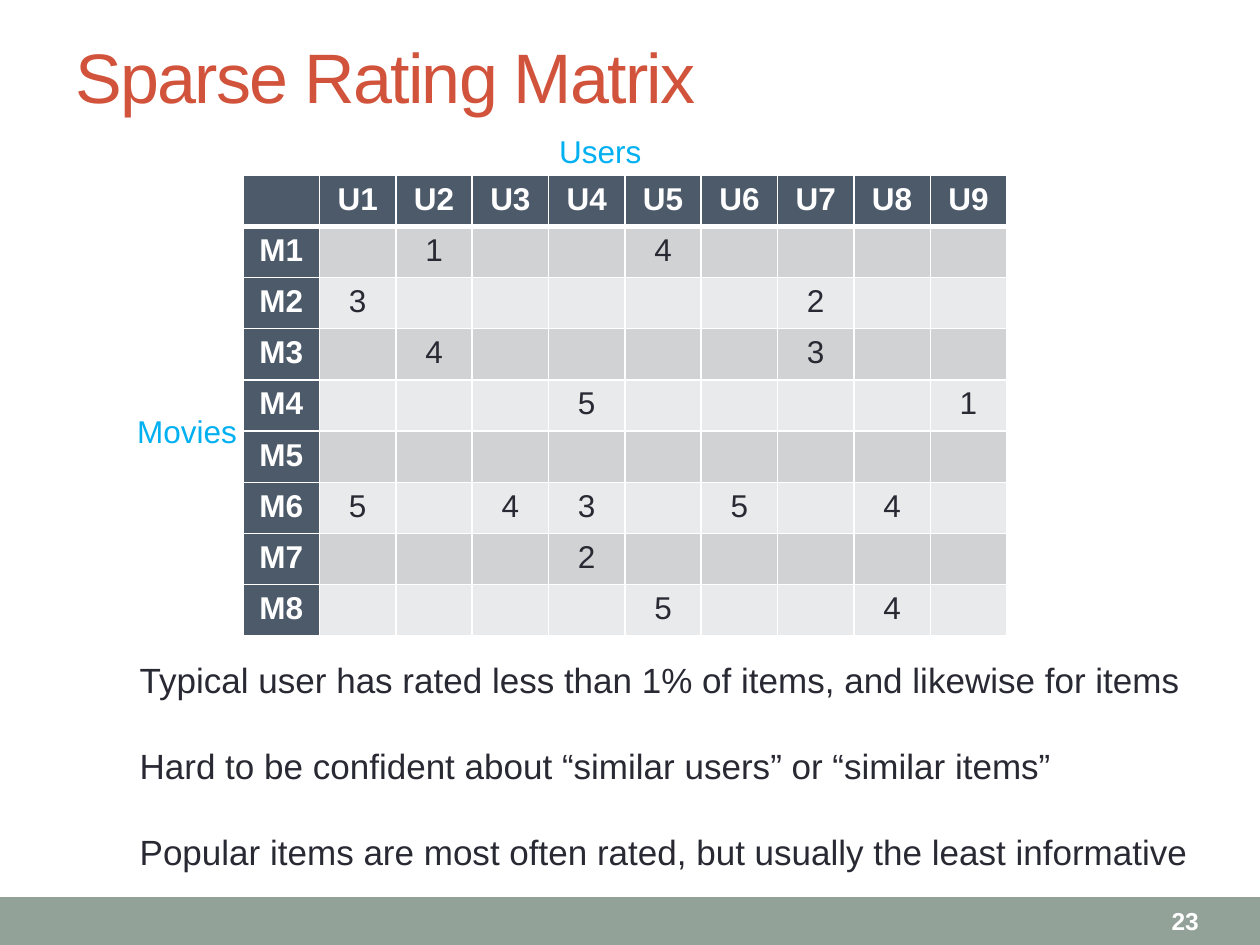
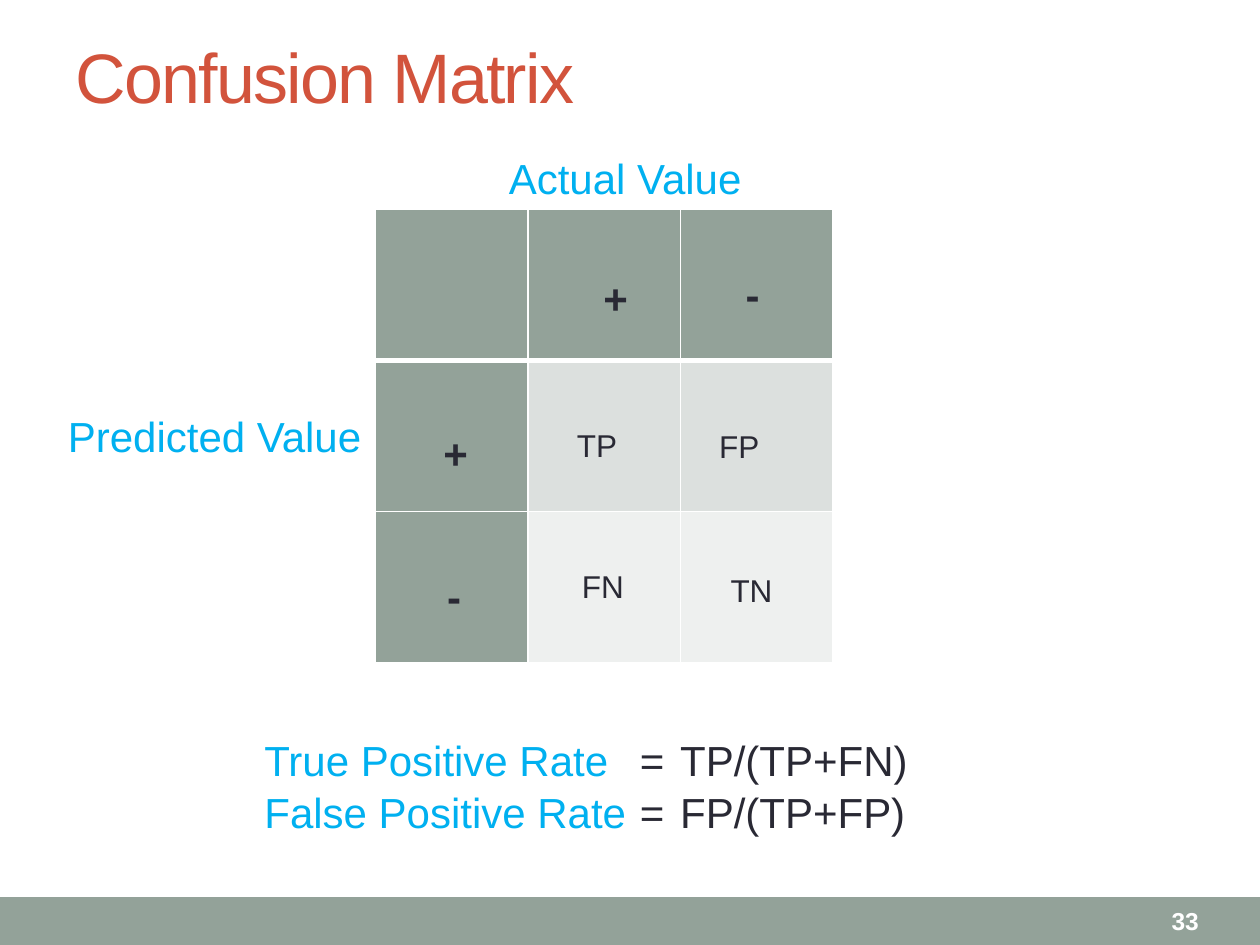
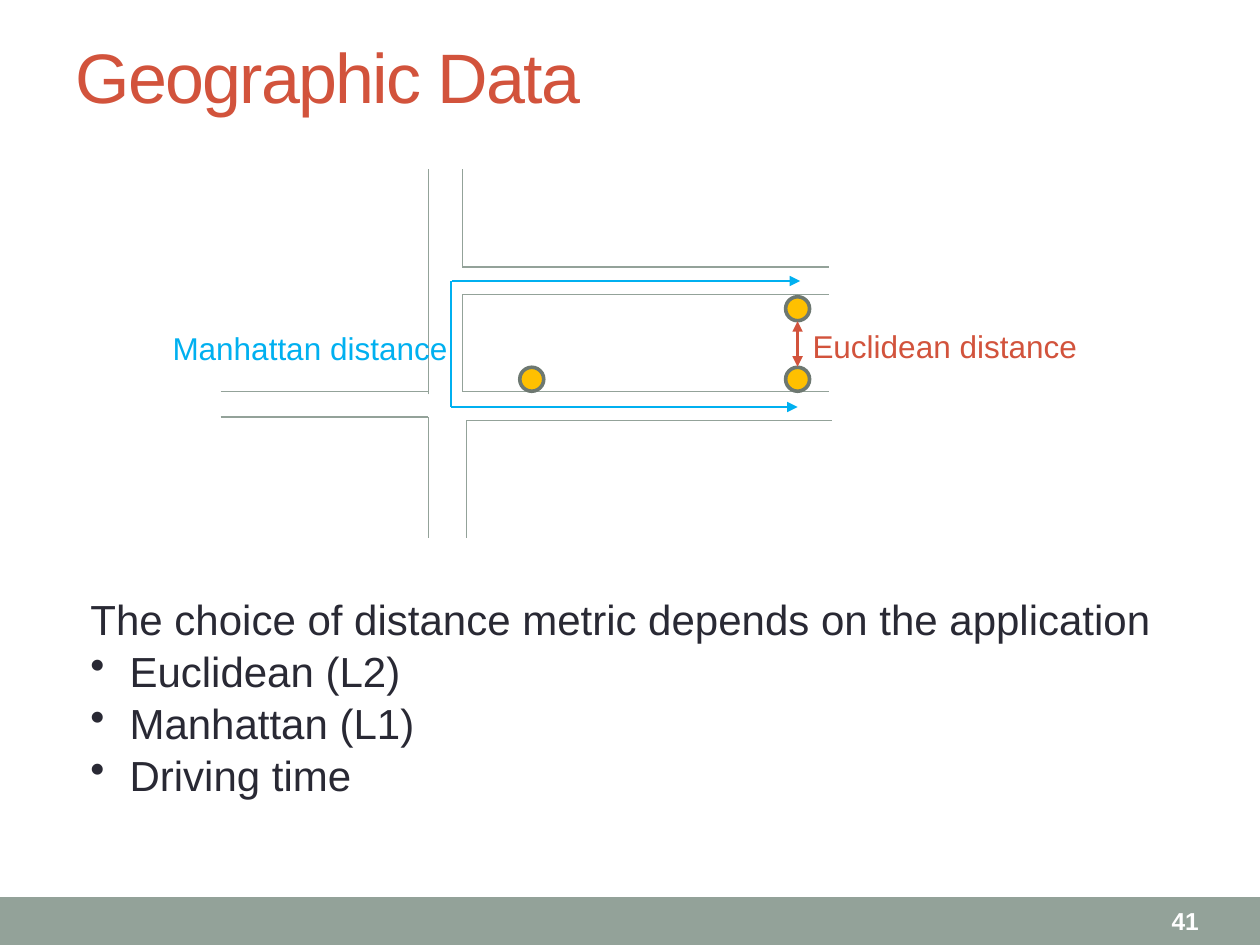
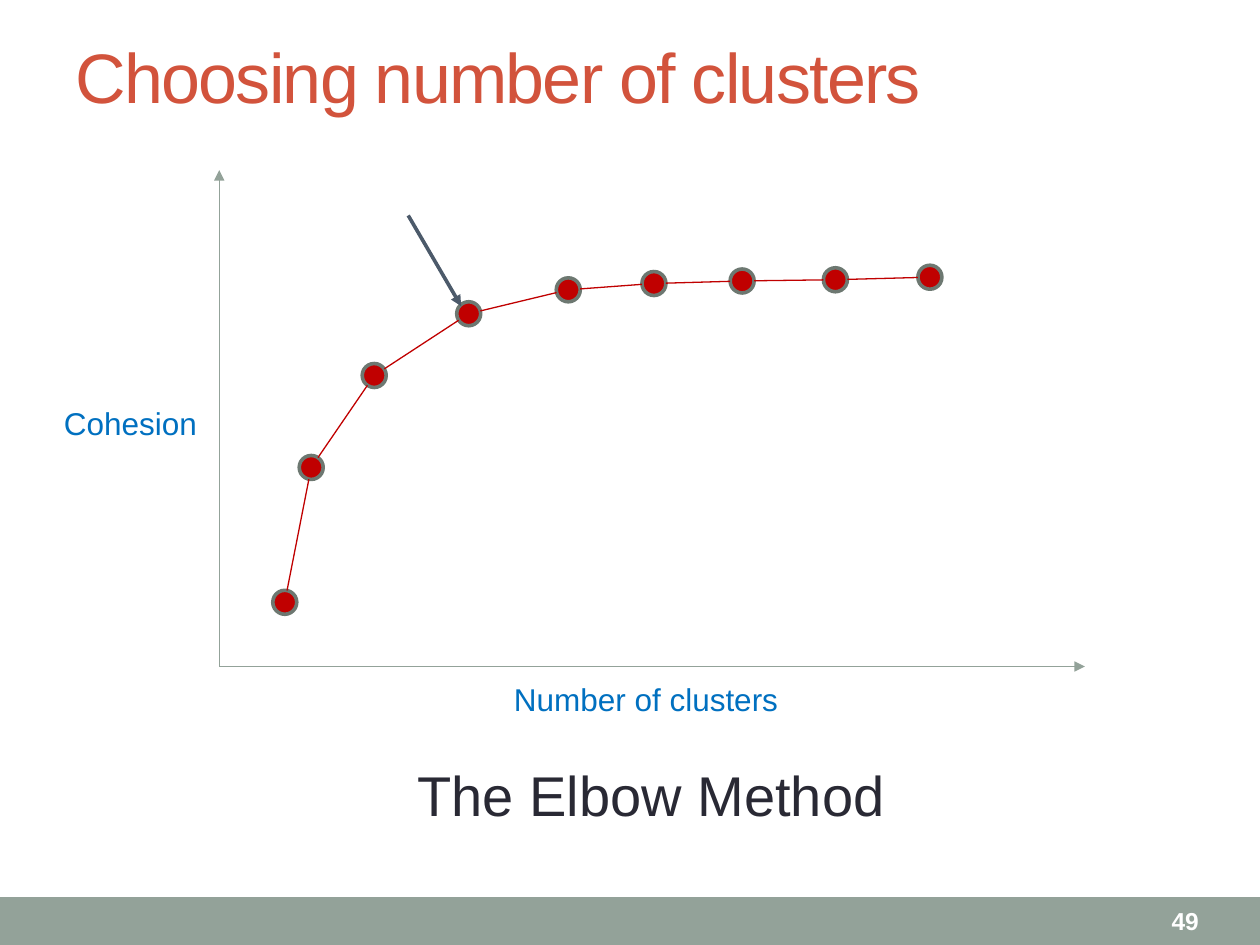
from itertools import pairwise
from math import hypot

from pptx import Presentation
from pptx.dml.color import RGBColor as RGB
from pptx.enum.shapes import MSO_CONNECTOR as LINK, MSO_SHAPE as SHAPE
from pptx.enum.text import MSO_ANCHOR as ANCHOR, MSO_AUTO_SIZE as AUTO, PP_ALIGN as ALIGN
from pptx.oxml import parse_xml
from pptx.oxml.ns import nsdecls
from pptx.util import Inches, Pt

HUES = {
    "title": "D2533C", "sage": "93A299", "rim": "6D7871", "slate": "4C5A6A",
    "ink": "292934", "white": "FFFFFF", "sky": "00B0F0", "blue": "0070C0",
    "gold": "FFC000", "red": "C00000",
    "dark": "D0D2D4", "pale": "E9EAEB", "mist": "DCE0DE", "fog": "EEF0EF",
}
FONT = "Arial"
DOT = 0.19
RATES = {
    "M1": {2: 1, 5: 4}, "M2": {1: 3, 7: 2}, "M3": {2: 4, 7: 3}, "M4": {4: 5, 9: 1},
    "M5": {}, "M6": {1: 5, 3: 4, 4: 3, 6: 5, 8: 4}, "M7": {4: 2}, "M8": {5: 5, 8: 4},
}


def hue(name):
    """Return the named colour."""
    return RGB.from_string(HUES[name])


def node(tag, attrs="", inner=""):
    """Return a new DrawingML element."""
    return parse_xml(f'<a:{tag} {nsdecls("a")} {attrs}>{inner}</a:{tag}>')


def write(frame, lines, size=18, color="ink", bold=False, align=ALIGN.LEFT,
          gap=0, bullets=(), tabs=(), track=None):
    """Fill a text frame; a line is a string or a list of (text, colour)."""
    for i, line in enumerate([lines] if isinstance(lines, str) else lines):
        para = frame.paragraphs[0] if i == 0 else frame.add_paragraph()
        props = para._p.get_or_add_pPr()
        if i in bullets:
            props.set("marL", str(Inches(0.31)))
            props.set("indent", str(-Inches(0.31)))
            props.append(node("buChar", 'char="•"'))
        if tabs:
            stops = "".join(f'<a:tab pos="{Inches(t)}" algn="l"/>' for t in tabs)
            props.append(node("tabLst", inner=stops))
        para.alignment = align
        para.space_before = Pt(gap if i else 0)
        for part, tone in [(line, color)] if isinstance(line, str) else line:
            run = para.add_run()
            run.text = part
            run.font.name, run.font.size, run.font.bold = FONT, Pt(size), bold
            run.font.color.rgb = hue(tone)
            if track is not None:
                run._r.get_or_add_rPr().set("spc", str(track))


def label(slide, x, y, w, h, lines, wrap=False, anchor=ANCHOR.TOP, **form):
    """Add a text box."""
    frame = slide.shapes.add_textbox(Inches(x), Inches(y), Inches(w), Inches(h)).text_frame
    frame.word_wrap = wrap
    frame.auto_size = AUTO.NONE if wrap else AUTO.SHAPE_TO_FIT_TEXT
    frame.vertical_anchor = anchor
    write(frame, lines, **form)


def shape(slide, kind, x, y, w, h, fill, rim=None):
    """Add a filled preset shape."""
    item = slide.shapes.add_shape(kind, Inches(x), Inches(y), Inches(w), Inches(h))
    item.shadow.inherit = False
    item.fill.solid()
    item.fill.fore_color.rgb = hue(fill)
    if rim:
        item.line.color.rgb = hue(rim)
        item.line.width = Pt(2.08)
    else:
        item.line.fill.background()


def dot(slide, x, y, fill):
    """Add a rimmed dot centred on a point."""
    shape(slide, SHAPE.OVAL, x - DOT / 2, y - DOT / 2, DOT, DOT, fill, "rim")


def stroke(slide, x1, y1, x2, y2, color="sage", width=0.75, ends=()):
    """Add a line with arrowheads at the given ends."""
    item = slide.shapes.add_connector(LINK.STRAIGHT, *map(Inches, (x1, y1, x2, y2)))
    item.line.color.rgb = hue(color)
    item.line.width = Pt(width)
    for end in ends:
        item.line._get_or_add_ln().append(node(end, 'type="triangle"'))
    item._element.spPr.append(node("effectLst"))


def edge(cell, row):
    """Draw white borders, with a thick rule below the header row."""
    thick = {"lnB": row == 0, "lnT": row == 1}
    tone = f'<a:solidFill><a:srgbClr val="{HUES["white"]}"/></a:solidFill>'
    for side in ("lnL", "lnR", "lnT", "lnB"):
        width = Pt(3 if thick.get(side) else 1)
        cell._tc.get_or_add_tcPr().append(node(side, f'w="{width}"', tone))


def grid(slide, x, y, w, h, rows, head, bands):
    """Add a table with header row and column and banded body."""
    count, span = len(rows), len(rows[0])
    table = slide.shapes.add_table(count, span, Inches(x), Inches(y), Inches(w), Inches(h)).table
    for r, row in enumerate(rows):
        for c, value in enumerate(row):
            cell, top = table.cell(r, c), r == 0 or c == 0
            edge(cell, r)
            cell.fill.solid()
            cell.fill.fore_color.rgb = hue(head if top else bands[(r - 1) % 2])
            if value:
                write(cell.text_frame, value, align=ALIGN.CENTER, bold=top,
                      color="white" if top else "ink")


def base(deck, title, page):
    """Add a slide with its title, band and page number."""
    slide = deck.slides.add_slide(deck.slide_layouts[5])
    shape(slide, SHAPE.RECTANGLE, 0, 7.12, 10, 0.38, "sage")
    head = slide.shapes.title
    head.left, head.top, head.width, head.height = map(Inches, (0.5, 0.06, 9, 1.08))
    head.text_frame.vertical_anchor = ANCHOR.MIDDLE
    write(head.text_frame, title, size=40, color="title", track=-100)
    label(slide, 9.2, 7.13, 0.77, 0.36, str(page), wrap=True, anchor=ANCHOR.MIDDLE,
          size=14, color="white", bold=True)
    return slide


def ratings(slide, x, y):
    """Draw the rating table with its axis names."""
    rows = [[""] + [f"U{n}" for n in range(1, 10)]]
    rows += [[name] + [str(marks.get(n, "")) for n in range(1, 10)]
             for name, marks in RATES.items()]
    grid(slide, x, y, 6.06, 3.66, rows, "slate", ("dark", "pale"))
    label(slide, x + 2.41, y - 0.39, 0.86, 0.4, "Users", color="sky")
    label(slide, x - 0.94, y + 1.83, 1, 0.4, "Movies", color="sky")


def matrix(slide, x, y):
    """Draw the confusion table with its labels."""
    grid(slide, x, y, 3.63, 3.6, [[""] * 3] * 3, "sage", ("mist", "fog"))
    label(slide, x + 0.96, y - 0.5, 2.07, 0.5, "Actual Value", size=24, color="sky")
    label(slide, x - 2.54, y + 1.55, 2.56, 0.5, "Predicted Value", size=24, color="sky")
    signs = [("+", 1.71, 0.45, 0.4), ("-", 2.84, 0.42, 0.31),
             ("+", 0.44, 1.68, 0.4), ("-", 0.47, 2.82, 0.31)]
    for sign, dx, dy, w in signs:
        label(slide, x + dx, y + dy, w, 0.5, sign, size=24, bold=True)
    cases = [("TP", 1.5, 1.67, 0.52), ("FP", 2.63, 1.68, 0.52),
             ("TN", 2.72, 2.82, 0.54), ("FN", 1.54, 2.79, 0.54)]
    for case, dx, dy, w in cases:
        label(slide, x + dx, y + dy, w, 0.4, case)


def streets(slide, x, y):
    """Draw the street map with both distances."""
    roads = [
        (1.92, 1.77, 4.83, 1.77), (1.92, 1.77, 1.92, 1), (1.95, 2, 4.85, 2),
        (1.95, 2, 1.95, 2.93), (1.65, 1.79, 1.65, 0), (0, 1.77, 1.65, 1.77),
        (0, 1.97, 1.65, 1.97), (1.65, 1.97, 1.65, 2.93), (1.92, 1, 4.83, 1),
        (1.92, 0.78, 4.83, 0.78), (1.92, 0.78, 1.92, 0),
    ]
    for x1, y1, x2, y2 in roads:
        stroke(slide, x + x1, y + y1, x + x2, y + y2)
    for dx, dy in [(4.58, 1.11), (4.58, 1.67), (2.47, 1.67)]:
        dot(slide, x + dx, y + dy, "gold")
    stroke(slide, x + 4.58, y + 1.21, x + 4.58, y + 1.57, "title", 1.5, ("headEnd", "tailEnd"))
    stroke(slide, x + 1.83, y + 1.89, x + 4.58, y + 1.89, "sky", 1.5, ("tailEnd",))
    stroke(slide, x + 1.84, y + 0.89, x + 4.6, y + 0.89, "sky", 1.5, ("tailEnd",))
    stroke(slide, x + 1.83, y + 0.89, x + 1.83, y + 1.89, "sky", 1.5)
    label(slide, x + 4.6, y + 1.21, 2.32, 0.4, "Euclidean distance", color="title")
    label(slide, x - 0.5, y + 1.22, 2.4, 0.4, "Manhattan distance", color="sky",
          align=ALIGN.RIGHT)


def elbow(slide, x, y):
    """Draw the cohesion curve on its axes."""
    stroke(slide, x, y + 3.94, x + 6.87, y + 3.94, ends=("tailEnd",))
    stroke(slide, x, y + 3.94, x, y, ends=("tailEnd",))
    label(slide, x + 2.24, y + 4, 2.39, 0.4, "Number of clusters", color="blue")
    label(slide, x - 1.33, y + 1.81, 1.27, 0.4, "Cohesion", color="blue")
    curve = [(0.52, 3.43), (0.73, 2.36), (1.23, 1.63), (1.98, 1.14), (2.77, 0.95),
             (3.45, 0.9), (4.15, 0.88), (4.89, 0.87), (5.64, 0.85)]
    spots = [(x + dx, y + dy) for dx, dy in curve]
    for spot in spots:
        dot(slide, *spot, "red")
    for (x1, y1), (x2, y2) in pairwise(spots):
        part = DOT / 2 / hypot(x2 - x1, y2 - y1)
        dx, dy = (x2 - x1) * part, (y2 - y1) * part
        stroke(slide, x1 + dx, y1 + dy, x2 - dx, y2 - dy, "red")
    stroke(slide, x + 1.5, y + 0.36, x + 1.92, y + 1.08, "slate", 2.08, ("tailEnd",))


def main():
    """Build and save the deck."""
    deck = Presentation()
    deck.slide_width, deck.slide_height = Inches(10), Inches(7.5)

    slide = base(deck, "Sparse Rating Matrix", 23)
    ratings(slide, 1.93, 1.39)
    label(slide, 1.01, 5.18, 8.58, 1.78, [
        "Typical user has rated less than 1% of items, and likewise for items",
        "Hard to be confident about “similar users” or “similar items”",
        "Popular items are most often rated, but usually the least informative",
    ], size=20, gap=25)

    slide = base(deck, "Confusion Matrix", 33)
    matrix(slide, 2.98, 1.66)
    label(slide, 2, 5.78, 5.38, 0.91, [
        [("True Positive Rate", "sky"), ("\t=\tTP/(TP+FN)", "ink")],
        [("False Positive Rate", "sky"), ("\t=\tFP/(TP+FP)", "ink")],
    ], wrap=True, size=24, gap=1, tabs=(2.98, 3.3))

    slide = base(deck, "Geographic Data", 41)
    streets(slide, 1.75, 1.34)
    label(slide, 0.62, 4.66, 8.7, 1.72, [
        "The choice of distance metric depends on the application",
        "Euclidean (L2)", "Manhattan (L1)", "Driving time",
    ], size=24, gap=1, bullets=(1, 2, 3))

    slide = base(deck, "Choosing number of clusters", 49)
    elbow(slide, 1.74, 1.35)
    label(slide, 0.67, 5.99, 9, 0.64, "The Elbow Method", wrap=True, size=32,
          align=ALIGN.CENTER)

    deck.save("out.pptx")


if __name__ == "__main__":
    main()
